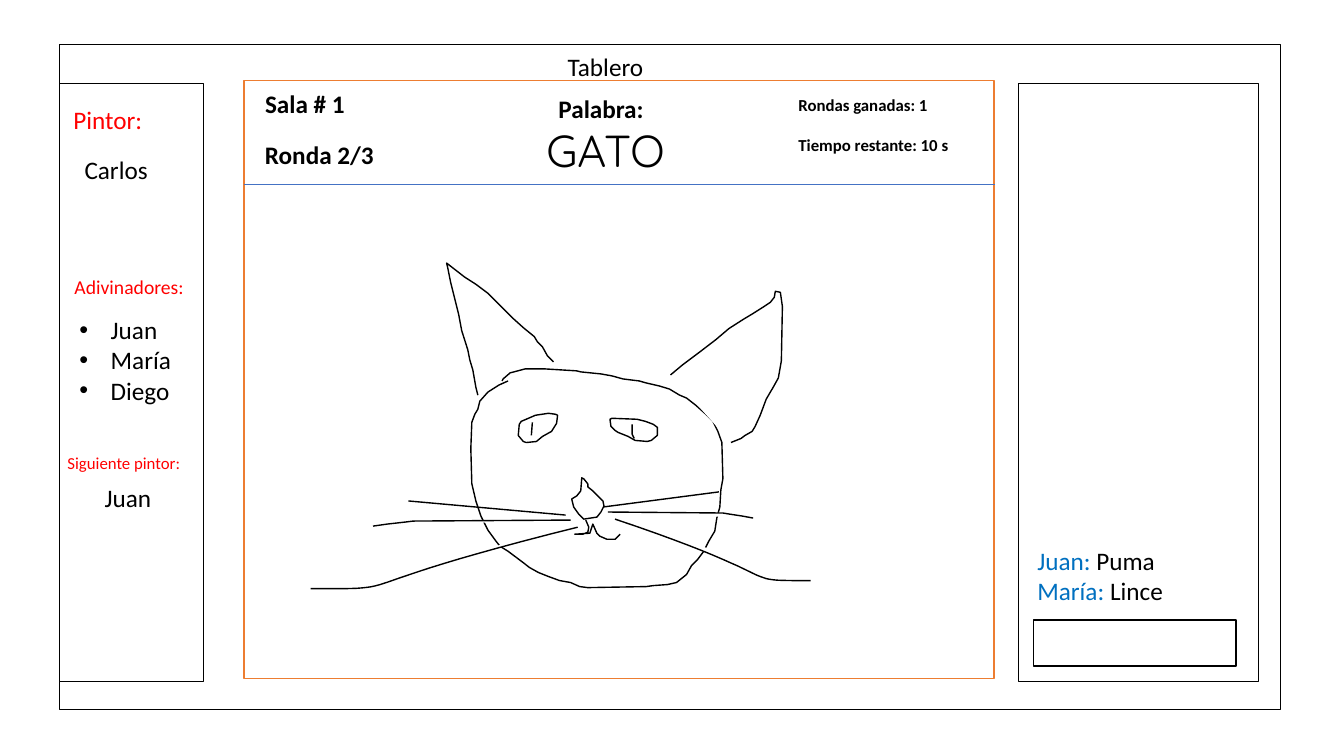
from dataclasses import dataclass

from lxml import etree
from pptx import Presentation
from pptx.dml.color import RGBColor
from pptx.enum.shapes import MSO_CONNECTOR, MSO_SHAPE
from pptx.enum.text import MSO_ANCHOR, MSO_AUTO_SIZE, PP_ALIGN
from pptx.oxml.ns import qn
from pptx.util import Inches, Pt

RECTANGLE = MSO_SHAPE.RECTANGLE
STRAIGHT = MSO_CONNECTOR.STRAIGHT
TOP, LEFT, NO_AUTOFIT = MSO_ANCHOR.TOP, PP_ALIGN.LEFT, MSO_AUTO_SIZE.NONE

BLACK, WHITE, RED = "000000", "FFFFFF", "FF0000"
ORANGE, BLUE, NAME_BLUE = "ED7D31", "4472C4", "0070C0"
UNITS_PER_INCH = 1000

Point = tuple[float, float]


@dataclass
class Panel:
    left: float
    top: float
    width: float
    height: float
    line: str = BLACK


@dataclass
class Label:
    lines: list[str]
    left: float
    top: float
    width: float
    height: float = 0.4
    size: int = 18
    color: str = BLACK
    bold: bool = False
    font: str = "Calibri"
    bulleted: bool = False


@dataclass
class Stroke:
    points: list[Point]
    closed: bool = False


def rgb(color: str) -> RGBColor:
    return RGBColor.from_string(color)


def curve(start: Point, first: Point, second: Point, end: Point, steps: int = 24) -> list[Point]:
    """Points along a cubic Bezier curve."""
    points = []
    for step in range(steps + 1):
        t = step / steps
        weights = ((1 - t) ** 3, 3 * t * (1 - t) ** 2, 3 * t * t * (1 - t), t ** 3)
        corners = (start, first, second, end)
        points.append((sum(w * c[0] for w, c in zip(weights, corners)),
                       sum(w * c[1] for w, c in zip(weights, corners))))
    return points


def paint(shape, line: str) -> None:
    shape.shadow.inherit = False
    shape.fill.solid()
    shape.fill.fore_color.rgb = rgb(WHITE)
    shape.line.color.rgb = rgb(line)
    shape.line.width = Pt(1)


def draw_panel(page, panel: Panel) -> None:
    box = page.shapes.add_shape(RECTANGLE, Inches(panel.left), Inches(panel.top),
                                Inches(panel.width), Inches(panel.height))
    paint(box, panel.line)


def draw_stroke(page, stroke: Stroke) -> None:
    points = [(round(x * UNITS_PER_INCH), round(y * UNITS_PER_INCH)) for x, y in stroke.points]
    builder = page.shapes.build_freeform(*points[0], scale=Inches(1) / UNITS_PER_INCH)
    builder.add_line_segments(points[1:], close=stroke.closed)
    paint(builder.convert_to_shape(), BLACK)


def add_bullet(para) -> None:
    properties = para._p.get_or_add_pPr()
    properties.set("marL", str(Inches(0.31)))
    properties.set("indent", str(-Inches(0.31)))
    etree.SubElement(properties, qn("a:buFont")).set("typeface", "Arial")
    etree.SubElement(properties, qn("a:buChar")).set("char", "•")


def fill_label(box, label: Label) -> None:
    box.left, box.top = Inches(label.left), Inches(label.top)
    box.width, box.height = Inches(label.width), Inches(label.height)
    frame = box.text_frame
    frame.word_wrap = True
    frame.auto_size = NO_AUTOFIT
    frame.vertical_anchor = TOP
    frame.text = "\n".join(label.lines)
    for para in frame.paragraphs:
        para.alignment = LEFT
        if label.bulleted:
            add_bullet(para)
        para.font.name = label.font
        para.font.size = Pt(label.size)
        para.font.bold = label.bold
        para.font.color.rgb = rgb(label.color)


def draw_label(page, label: Label) -> None:
    fill_label(page.shapes.add_textbox(0, 0, 0, 0), label)


def draw_chat(page, guesses: list[tuple[str, str]]) -> None:
    frame = page.shapes.add_textbox(Inches(10.19), Inches(5.36), Inches(1.62), Inches(0.71)).text_frame
    frame.word_wrap = True
    for index, (player, guess) in enumerate(guesses):
        para = frame.add_paragraph() if index else frame.paragraphs[0]
        para.font.name = "Calibri"
        para.font.size = Pt(18)
        for text, color in ((f"{player}: ", NAME_BLUE), (guess, BLACK)):
            span = para.add_run()
            span.text = text
            span.font.color.rgb = rgb(color)


PANELS = [
    Panel(0.59, 0.44, 12.11, 6.6),
    Panel(2.42, 0.8, 7.44, 5.93, ORANGE),
    Panel(0.59, 0.83, 1.43, 5.93),
    Panel(10.1, 0.83, 2.38, 5.93),
    Panel(10.25, 6.15, 2.01, 0.46),
]
TITLE = Label(["Tablero"], 5.53, 0.46, 4.32)
LABELS = [
    Label(["Sala # 1"], 2.53, 0.83, 1.25, bold=True),
    Label(["Ronda 2/3"], 2.53, 1.33, 1.86, bold=True),
    Label(["Palabra:"], 5.44, 0.88, 1.92, bold=True),
    Label(["GATO"], 5.32, 1.17, 2.44, 0.64, size=32, font="Quicksand"),
    Label(["Rondas ganadas: 1"], 7.82, 0.89, 2.98, 0.3, size=12, bold=True),
    Label(["Tiempo restante: 10 s"], 7.82, 1.29, 2.98, 0.3, size=12, bold=True),
    Label(["Pintor:"], 0.63, 0.99, 2.16, color=RED),
    Label(["Carlos"], 0.74, 1.48, 1.13, 0.71),
    Label(["Adivinadores:"], 0.64, 2.68, 1.89, 0.34, size=14, color=RED),
    Label(["Juan", "María", "Diego"], 0.69, 3.07, 1.43, 1.01, bulleted=True),
    Label(["Siguiente pintor:"], 0.57, 4.44, 1.89, 0.3, size=12, color=RED),
    Label(["Juan"], 0.94, 4.74, 1.13, 0.71),
]

LEFT_EAR = Stroke([
    (4.74, 3.92), (4.72, 3.84), (4.69, 3.67), (4.66, 3.57), (4.64, 3.47), (4.58, 3.28), (4.55, 3.12),
    (4.51, 2.96), (4.47, 2.8), (4.44, 2.65), (4.43, 2.61), (4.52, 2.68), (4.61, 2.75), (4.72, 2.82),
    (4.84, 2.91), (4.93, 3), (5.04, 3.11), (5.09, 3.16), (5.19, 3.25), (5.3, 3.34), (5.33, 3.39),
    (5.38, 3.44), (5.43, 3.53), (5.49, 3.59)])
HEAD = Stroke([
    (5.04, 3.78), (4.95, 3.82), (4.84, 3.89), (4.76, 3.98), (4.74, 4.06), (4.71, 4.11), (4.68, 4.19),
    (4.67, 4.45), (4.68, 4.8), (4.72, 4.97), (4.77, 5.12), (4.84, 5.26), (4.92, 5.37), (4.96, 5.42),
    (5.04, 5.47), (5.12, 5.53), (5.2, 5.59), (5.25, 5.63), (5.34, 5.68), (5.44, 5.72), (5.55, 5.76),
    (5.66, 5.78), (5.75, 5.82), (5.83, 5.83), (6.41, 5.82), (6.48, 5.81), (6.62, 5.8), (6.71, 5.78),
    (6.81, 5.7), (6.86, 5.61), (6.92, 5.55), (6.98, 5.47), (7.03, 5.37), (7.09, 5.27), (7.11, 5.14),
    (7.14, 5.03), (7.15, 4.86), (7.17, 4.75), (7.16, 4.39), (7.12, 4.28), (7.07, 4.18), (6.99, 4.1),
    (6.9, 4.02), (6.81, 3.95), (6.74, 3.92), (6.64, 3.86), (6.54, 3.83), (6.41, 3.8), (6.34, 3.78),
    (6.18, 3.76), (6.07, 3.73), (5.96, 3.71), (5.76, 3.69), (5.72, 3.68), (5.4, 3.66), (5.21, 3.66),
    (5.06, 3.7), (4.99, 3.76), (4.98, 3.78)])
RIGHT_EAR = Stroke([
    (6.65, 3.72), (6.77, 3.62), (6.93, 3.5), (7.1, 3.37), (7.23, 3.26), (7.37, 3.17), (7.47, 3.11),
    (7.58, 3.04), (7.64, 3), (7.68, 2.95), (7.69, 2.89), (7.74, 2.9), (7.76, 3.04), (7.75, 3.58),
    (7.72, 3.75), (7.67, 3.84), (7.6, 3.96), (7.54, 4.12), (7.49, 4.23), (7.46, 4.28), (7.39, 4.32),
    (7.35, 4.35), (7.25, 4.39)])
LEFT_EYE = Stroke([
    (5.51, 4.11), (5.44, 4.1), (5.31, 4.12), (5.24, 4.15), (5.17, 4.18), (5.15, 4.21), (5.14, 4.32),
    (5.19, 4.38), (5.22, 4.39), (5.32, 4.38), (5.38, 4.33), (5.47, 4.28), (5.52, 4.2), (5.53, 4.12)], True)
RIGHT_EYE = Stroke([
    (6.07, 4.15), (6.32, 4.16), (6.4, 4.18), (6.48, 4.21), (6.52, 4.24), (6.52, 4.32), (6.46, 4.37),
    (6.42, 4.38), (6.3, 4.37), (6.23, 4.33), (6.13, 4.29), (6.1, 4.27), (6.06, 4.23), (6.05, 4.16)], True)
NOSE = Stroke([
    (5.77, 4.74), (5.76, 4.87), (5.72, 4.92), (5.67, 4.95), (5.69, 5.03), (5.74, 5.1), (5.79, 5.15),
    (5.92, 5.13), (5.96, 5.08), (5.99, 5.02), (5.98, 4.97), (5.94, 4.93), (5.88, 4.87), (5.83, 4.83),
    (5.83, 4.8), (5.79, 4.75)], True)
MOUTH = Stroke([
    (5.81, 5.16), (5.84, 5.23), (5.83, 5.28), (5.78, 5.3), (5.7, 5.3), (5.85, 5.29), (5.88, 5.2),
    (5.92, 5.29), (5.95, 5.32), (6.02, 5.35), (6.1, 5.35), (6.15, 5.3)])
WHISKERS = [
    Stroke([(5.98, 5.03), (7.13, 4.88)]),
    Stroke([(6.03, 5.08), (7.17, 5.09), (7.23, 5.1), (7.36, 5.12), (7.47, 5.14)]),
    Stroke(curve((6.1, 5.15), (7.94, 5.77), (7.26, 5.76), (8.04, 5.76))),
    Stroke([(5.61, 5.11), (4.05, 4.97)]),
    Stroke([(5.66, 5.16), (4.1, 5.17), (4.02, 5.18), (3.84, 5.2), (3.7, 5.22)]),
    Stroke(curve((5.73, 5.23), (3.21, 5.86), (4.14, 5.84), (3.08, 5.84))),
]
PUPILS = [Stroke([(5.28, 4.19), (5.27, 4.32)]), Stroke([(6.27, 4.21), (6.27, 4.31), (6.29, 4.35)])]
CAT = [LEFT_EAR, HEAD, RIGHT_EAR, LEFT_EYE, RIGHT_EYE, *WHISKERS[:3], NOSE, MOUTH, *WHISKERS[3:], *PUPILS]


def main() -> None:
    deck = Presentation()
    deck.slide_width, deck.slide_height = Inches(13.33), Inches(7.5)
    page = deck.slides.add_slide(deck.slide_layouts[5])

    # Board panels, with the title brought in front of them
    for panel in PANELS:
        draw_panel(page, panel)
    title = page.shapes.title
    fill_label(title, TITLE)
    title.element.getparent().append(title.element)

    # Divider under the round header
    divider = page.shapes.add_connector(STRAIGHT, Inches(2.42), Inches(1.83), Inches(9.87), Inches(1.83))
    divider.line.color.rgb = rgb(BLUE)
    divider.line.width = Pt(0.5)
    etree.SubElement(divider.element.spPr, qn("a:effectLst"))

    # Cat drawing
    for stroke in CAT:
        draw_stroke(page, stroke)

    # Texts and chat
    for label in LABELS:
        draw_label(page, label)
    draw_chat(page, [("Juan", "Puma"), ("María", "Lince")])
    deck.save("out.pptx")


if __name__ == "__main__":
    main()
